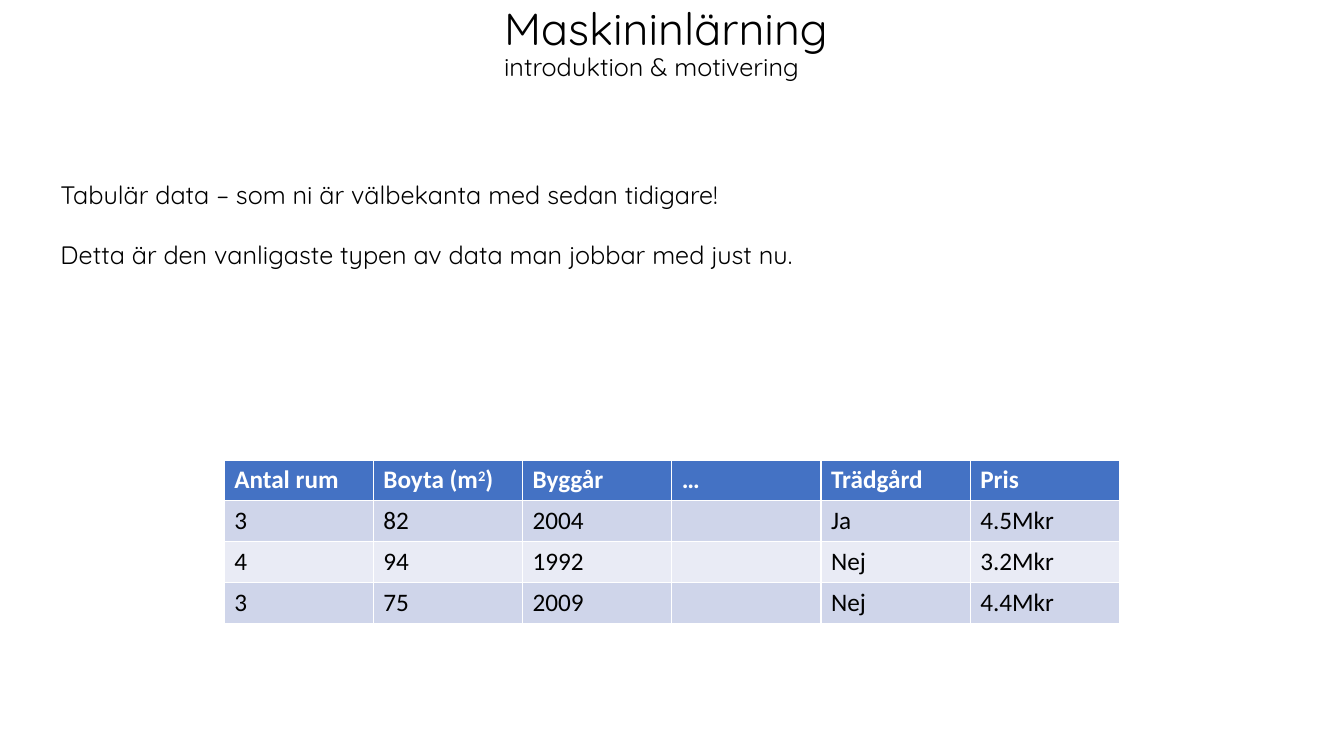
from pptx import Presentation
from pptx.dml.color import RGBColor
from pptx.enum.text import MSO_ANCHOR, MSO_AUTO_SIZE, PP_ALIGN
from pptx.oxml.ns import qn
from pptx.util import Cm, Pt

TITLE = "Maskininlärning"
SUBTITLE = "introduktion & motivering"
STATEMENTS = [
    "Tabulär data – som ni är välbekanta med sedan tidigare!",
    "Detta är den vanligaste typen av data man jobbar med just nu.",
]
# A header given as a tuple holds the text before, in and after a superscript.
HEADERS = ["Antal rum", ("Boyta (m", "2", ")"), "Byggår", "…", "Trädgård", "Pris"]
HOMES = [
    ["3", "82", "2004", "", "Ja", "4.5Mkr"],
    ["4", "94", "1992", "", "Nej", "3.2Mkr"],
    ["3", "75", "2009", "", "Nej", "4.4Mkr"],
]

BLACK = RGBColor(0x00, 0x00, 0x00)
WHITE = RGBColor(0xFF, 0xFF, 0xFF)
HEADER_BLUE = RGBColor(0x44, 0x72, 0xC4)
BANDS = [RGBColor(0xCF, 0xD5, 0xEA), RGBColor(0xE9, 0xEB, 0xF5)]

TEXT_FONT = "Quicksand"
TABLE_FONT = "Calibri"
TEXT_SIZE = Pt(18)
TITLE_SIZE = Pt(32)
COLUMN_WIDTH = Cm(3.76)
ROW_HEIGHT = Cm(1.03)


def place(shape, left, top, width, height):
    shape.left, shape.top = Cm(left), Cm(top)
    shape.width, shape.height = Cm(width), Cm(height)


def style_font(font, name, color, size=TEXT_SIZE, bold=False):
    font.name, font.size, font.bold = name, size, bold
    font.color.rgb = color


def add_title(slide):
    title = slide.shapes.title
    place(title, 12.45, 0.2, 15.85, 1.83)
    frame = title.text_frame
    frame.auto_size = MSO_AUTO_SIZE.NONE
    frame.vertical_anchor = MSO_ANCHOR.MIDDLE
    frame.text = f"{TITLE}\v{SUBTITLE}"
    heading = frame.paragraphs[0]
    heading.alignment = PP_ALIGN.LEFT
    heading.line_spacing = 0.9
    for run, size in zip(heading.runs, (TITLE_SIZE, TEXT_SIZE)):
        style_font(run.font, TEXT_FONT, BLACK, size)


def add_statements(slide):
    body = slide.placeholders[1]
    place(body, 1.27, 4.39, 20.17, 4.11)
    frame = body.text_frame
    frame.auto_size = MSO_AUTO_SIZE.NONE
    frame.word_wrap = False
    frame.text = "\n".join(STATEMENTS)
    for index, statement in enumerate(frame.paragraphs):
        properties = statement._p.get_or_add_pPr()
        properties.set("marL", "0")
        properties.set("indent", "0")
        properties.append(properties.makeelement(qn("a:buNone"), {}))
        statement.space_before = Pt(21 if index else 0)
        style_font(statement.runs[0].font, TEXT_FONT, BLACK)


def fill_cell(cell, content, fill, color, bold):
    cell.fill.solid()
    cell.fill.fore_color.rgb = fill
    paragraph = cell.text_frame.paragraphs[0]
    if isinstance(content, tuple):
        for part in content:
            paragraph.add_run().text = part
        paragraph.runs[1]._r.get_or_add_rPr().set("baseline", "30000")
    else:
        paragraph.text = content
    style_font(paragraph.font, TABLE_FONT, color, bold=bold)
    for run in paragraph.runs:
        style_font(run.font, TABLE_FONT, color, bold=bold)


def add_homes_table(slide):
    rows = [HEADERS, *HOMES]
    homes = slide.shapes.add_table(
        len(rows), len(HEADERS), Cm(5.65), Cm(11.59),
        COLUMN_WIDTH * len(HEADERS), ROW_HEIGHT * len(rows),
    ).table
    for r, row in enumerate(rows):
        is_header = r == 0
        fill = HEADER_BLUE if is_header else BANDS[(r - 1) % 2]
        color = WHITE if is_header else BLACK
        for c, content in enumerate(row):
            fill_cell(homes.cell(r, c), content, fill, color, is_header)


def main():
    deck = Presentation()
    deck.slide_width, deck.slide_height = Cm(33.87), Cm(19.05)
    slide = deck.slides.add_slide(deck.slide_layouts[1])
    add_title(slide)
    add_statements(slide)
    add_homes_table(slide)
    deck.save("out.pptx")


if __name__ == "__main__":
    main()
